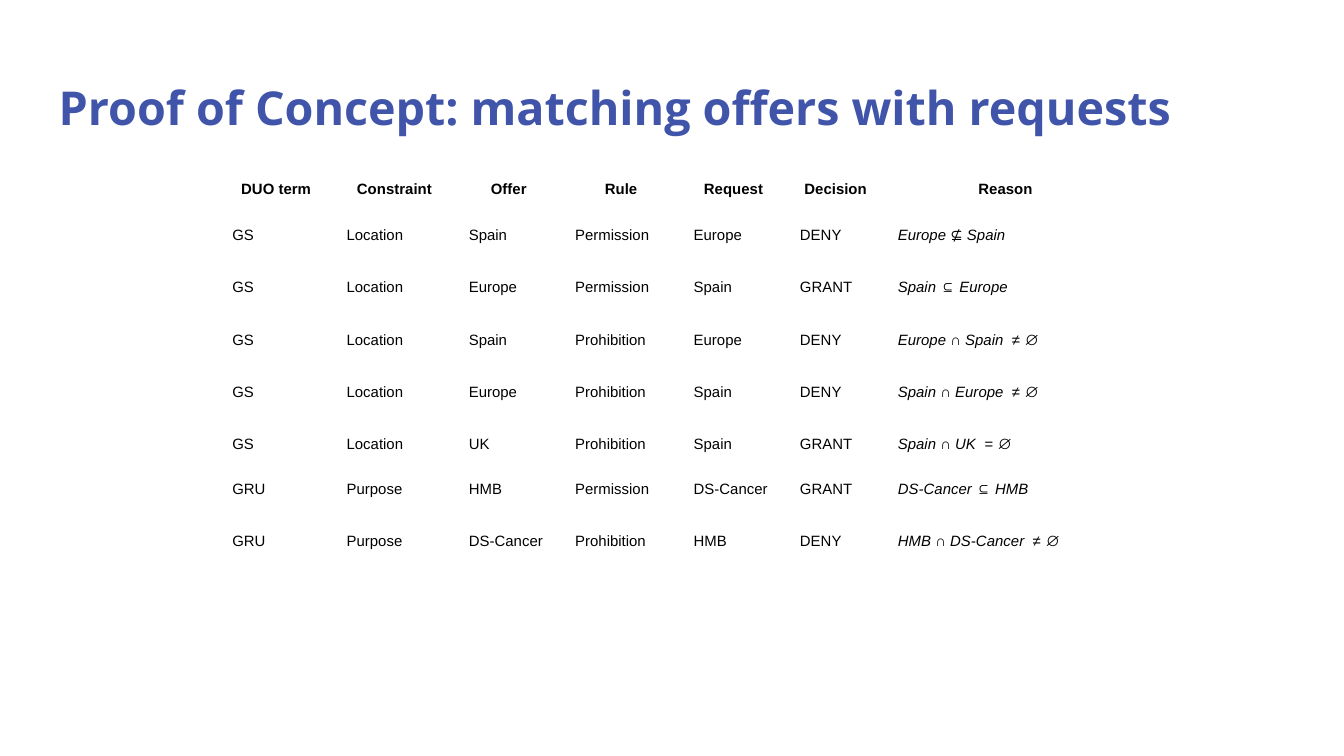
from dataclasses import dataclass

from pptx import Presentation
from pptx import util as u
from pptx.dml import color
from pptx.enum import text


@dataclass(frozen=True)
class Theme:
    blue: str = "4055A9"
    black: str = "000000"
    title_font: str = "Open Sans"
    table_font: str = "Arial"
    title_size: int = 25
    table_size: int = 8
    inset: float = 0.25


theme = Theme()


def write(holder, words, ink, para_format, **font_format):
    """Put one styled run into a text box or a table cell."""
    for side in ("left", "top", "right", "bottom"):
        owner = holder.text_frame if hasattr(holder, "shape_type") else holder
        setattr(owner, f"margin_{side}", u.Cm(theme.inset))
    para = holder.text_frame.paragraphs[0]
    for name, value in para_format.items():
        setattr(para, name, value)
    span = para.add_run()
    span.text = words
    for name, value in font_format.items():
        setattr(span.font, name, value)
    span.font.color.rgb = color.RGBColor.from_string(ink)


deck = Presentation()
deck.slide_width, deck.slide_height = u.Cm(25.4), u.Cm(14.28)
page = deck.slides.add_slide(deck.slide_layouts[6])

title = page.shapes.add_textbox(u.Cm(0.86), u.Cm(1.24), u.Cm(23.67), u.Cm(1.6))
title.text_frame.word_wrap = True
write(title, "Proof of Concept: matching offers with requests", theme.blue, {},
      name=theme.title_font, size=u.Pt(theme.title_size), bold=True)

rows = [
    ("DUO term", "Constraint", "Offer", "Rule", "Request", "Decision", "Reason"),
    ("GS", "Location", "Spain", "Permission", "Europe", "DENY", "Europe ⊈ Spain"),
    ("GS", "Location", "Europe", "Permission", "Spain", "GRANT", "Spain ⊆ Europe"),
    ("GS", "Location", "Spain", "Prohibition", "Europe", "DENY", "Europe ∩ Spain  ≠ ∅"),
    ("GS", "Location", "Europe", "Prohibition", "Spain", "DENY", "Spain ∩ Europe  ≠ ∅"),
    ("GS", "Location", "UK", "Prohibition", "Spain", "GRANT", "Spain ∩ UK  = ∅"),
    ("GRU", "Purpose", "HMB", "Permission", "DS-Cancer", "GRANT", "DS-Cancer ⊆ HMB"),
    ("GRU", "Purpose", "DS-Cancer", "Prohibition", "HMB", "DENY", "HMB ∩ DS-Cancer  ≠ ∅"),
]
widths = [2.16, 2.31, 2.01, 2.24, 2.01, 1.85, 4.57]
heights = [0.91] + [0.99] * 4 + [0.28] + [0.99] * 2

table = page.shapes.add_table(len(rows), len(widths), u.Cm(4.14), u.Cm(3.12),
                              u.Cm(sum(widths)), u.Cm(sum(heights))).table
table.first_row = table.horz_banding = False
for column, width in zip(table.columns, widths):
    column.width = u.Cm(width)
for line, height in zip(table.rows, heights):
    line.height = u.Cm(height)

header_format = {"alignment": text.PP_ALIGN.CENTER, "line_spacing": 1.15}
for r, row in enumerate(rows):
    for c, words in enumerate(row):
        cell = table.cell(r, c)
        cell.fill.background()
        is_header = r == 0
        is_reason = c == len(widths) - 1
        write(cell, words, theme.black, header_format if is_header else {},
              name=theme.table_font, size=u.Pt(theme.table_size),
              bold=is_header, italic=is_reason and not is_header)

deck.save("out.pptx")
